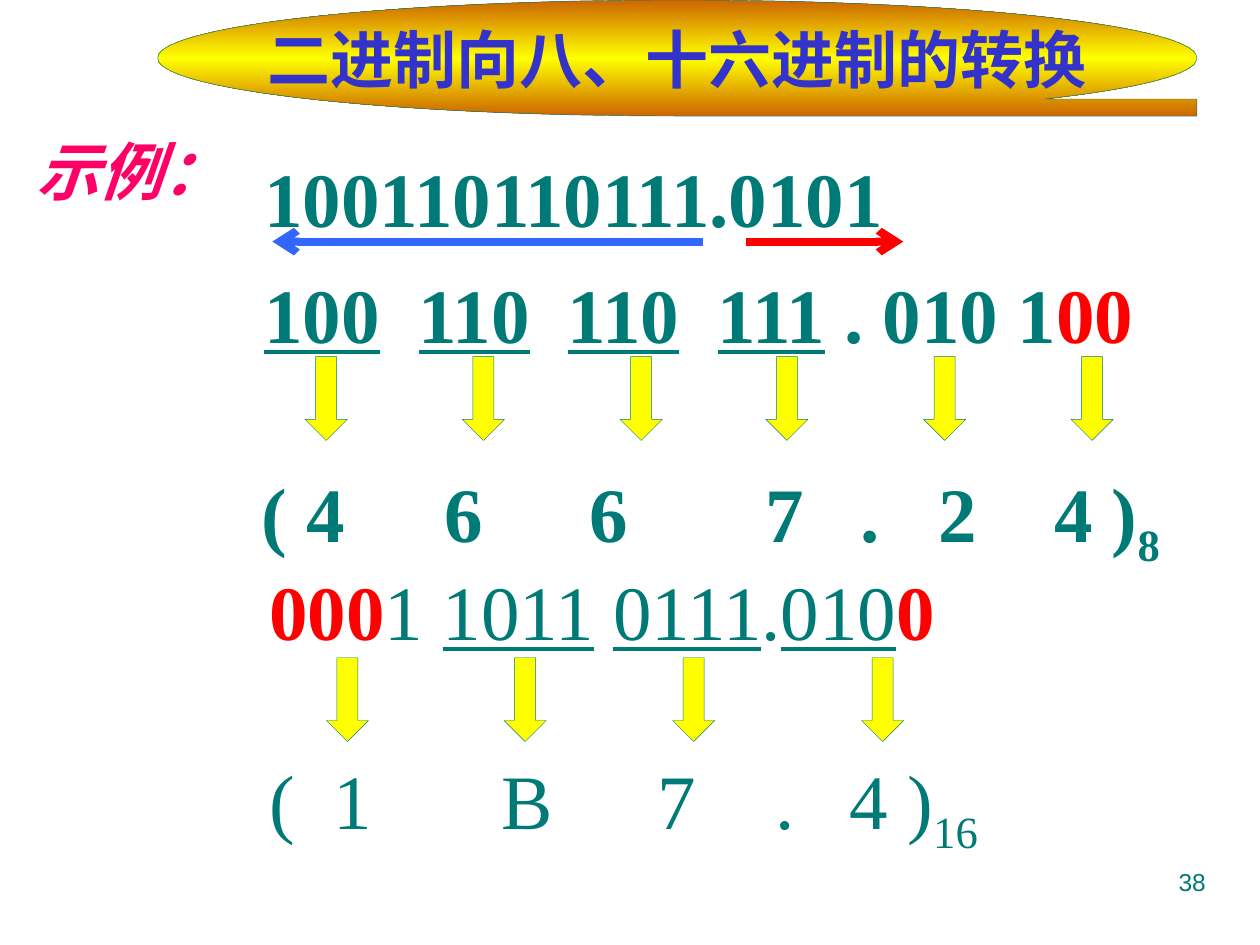
from copy import deepcopy

from lxml.etree import SubElement
from pptx import Presentation
from pptx.dml.color import RGBColor
from pptx.enum.shapes import MSO_CONNECTOR, MSO_SHAPE
from pptx.enum.text import MSO_ANCHOR, PP_ALIGN
from pptx.oxml.ns import qn
from pptx.util import Cm, Pt

TEAL = RGBColor(0x00, 0x7A, 0x77)
RED = RGBColor(0xFF, 0x00, 0x00)
YELLOW = RGBColor(0xFF, 0xFF, 0x00)
ORANGE = RGBColor(0xCC, 0x66, 0x00)
INDIGO = RGBColor(0x33, 0x33, 0xCC)
PINK = RGBColor(0xFF, 0x00, 0x66)
BLUE = RGBColor(0x33, 0x66, 0xFF)

SERIF = "Times New Roman"
CJK = "Noto Sans CJK SC"

UNDERLINED = {"underline": True}
PADDING = {"color": RED, "bold": True}
SUBSCRIPT = {"baseline": "-25000"}


def add_run(paragraph, text, color=None, bold=None, underline=None, baseline=None):
    run = paragraph.add_run()
    run.text = text
    if color is not None:
        run.font.color.rgb = color
    if bold is not None:
        run.font.bold = bold
    if underline:
        run.font.underline = True
    if baseline:
        run.font._element.set("baseline", baseline)


def write(paragraph, runs, tabs=(), size=44, color=TEAL, bold=False,
          italic=False, name=SERIF, align=PP_ALIGN.LEFT):
    paragraph.alignment = align
    if tabs:
        tab_list = SubElement(paragraph._p.get_or_add_pPr(), qn("a:tabLst"))
        for position in tabs:
            SubElement(tab_list, qn("a:tab"), pos=str(Cm(position)), algn="l")
    font = paragraph.font
    font.size, font.name = Pt(size), name
    font.bold, font.italic = bold, italic
    font.color.rgb = color
    SubElement(font._element, qn("a:ea"), typeface=CJK)
    for text, options in runs:
        add_run(paragraph, text, **options)


def add_text_frame(slide, left, top, width, height, anchor=MSO_ANCHOR.TOP, margin_top=0.13):
    box = slide.shapes.add_textbox(Cm(left), Cm(top), Cm(width), Cm(height))
    frame = box.text_frame
    frame.word_wrap = True
    frame.vertical_anchor = anchor
    frame.margin_top = Cm(margin_top)
    return frame


def add_outlined_shape(slide, preset, left, top, width, height):
    shape = slide.shapes.add_shape(preset, Cm(left), Cm(top), Cm(width), Cm(height))
    shape.shadow.inherit = False
    shape.line.color.rgb = TEAL
    shape.line.width = Pt(0.25)
    return shape


def add_title(slide, text):
    place = (3.18, 0, 20.95, 2.34)
    banner = add_outlined_shape(slide, MSO_SHAPE.FLOWCHART_SEQUENTIAL_ACCESS_STORAGE, *place)
    banner.fill.gradient()
    banner.fill.gradient_angle = 90
    stops = banner.fill.gradient_stops
    for stop in stops:
        stop.color.rgb = ORANGE
    first_stop = banner._element.spPr.find(".//" + qn("a:gs"))
    middle_stop = deepcopy(first_stop)
    first_stop.addnext(middle_stop)
    middle = banner.fill.gradient_stops[1]
    middle.position = 0.5
    middle.color.rgb = YELLOW

    title = slide.shapes.title
    title.left, title.top, title.width, title.height = map(Cm, place)
    title.text_frame.vertical_anchor = MSO_ANCHOR.MIDDLE
    write(title.text_frame.paragraphs[0], [(text, {})], size=36, color=INDIGO,
          bold=True, name=CJK, align=PP_ALIGN.CENTER)
    title._element.addprevious(banner._element)


def add_down_arrows(slide, top, lefts):
    for left in lefts:
        arrow = add_outlined_shape(slide, MSO_SHAPE.DOWN_ARROW, left, top, 0.85, 1.69)
        arrow.fill.solid()
        arrow.fill.fore_color.rgb = YELLOW


def add_direction(slide, start, end, color):
    level = Cm(4.87)
    direction = slide.shapes.add_connector(
        MSO_CONNECTOR.STRAIGHT, Cm(start), level, Cm(end), level)
    direction.line.color.rgb = color
    direction.line.width = Pt(4.5)
    SubElement(direction.line._get_or_add_ln(), qn("a:tailEnd"), type="arrow")
    SubElement(direction._element.spPr, qn("a:effectLst"))


def add_octal_example(slide):
    groups = add_text_frame(slide, 5.08, 5.08, 19.48, 2.11, margin_top=0.3)
    write(groups.paragraphs[0], [
        ("100", UNDERLINED), ("\t", {}),
        ("110", UNDERLINED), ("\t", {}),
        ("110", UNDERLINED), ("\t", {}),
        ("111", UNDERLINED), (" . 010 1", {}), ("00", PADDING),
    ], tabs=(3.11, 6.12, 9.14), bold=True)
    add_down_arrows(slide, 7.19, (6.15, 9.32, 12.5, 15.44, 18.62, 21.59))
    result = add_text_frame(slide, 5.03, 9.09, 19.48, 2.13, margin_top=0.3)
    write(result.paragraphs[0], [("( 4\t6\t6\t7\t.\t2\t4 )", {}), ("8", SUBSCRIPT)],
          tabs=(3.69, 6.61, 10.16, 12.07, 13.63, 15.97), bold=True)


def add_hexadecimal_example(slide):
    frame = add_text_frame(slide, 5.18, 11.23, 16.15, 5.84)
    write(frame.paragraphs[0], [
        ("000", PADDING), ("1 ", {}),
        ("1011", UNDERLINED), (" ", {}),
        ("0111", UNDERLINED), (".", {}),
        ("010", UNDERLINED), ("0", PADDING),
    ])
    result = frame.add_paragraph()
    result.space_before = Pt(55)
    write(result, [("(\t1\tB\t7\t.\t4 )", {}), ("16", SUBSCRIPT)],
          tabs=(1.3, 4.68, 7.83, 10.21, 11.7))
    add_down_arrows(slide, 13.26, (6.58, 10.16, 13.56, 17.37))


def main():
    presentation = Presentation()
    presentation.slide_width, presentation.slide_height = Cm(25.4), Cm(19.05)
    slide = presentation.slides.add_slide(presentation.slide_layouts[5])

    add_title(slide, "二进制向八、十六进制的转换")
    example_label = add_text_frame(slide, 0, 2.54, 5.28, 1.78, MSO_ANCHOR.MIDDLE)
    write(example_label.paragraphs[0], [("示例：", {})], size=36, color=PINK,
          bold=True, italic=True, align=PP_ALIGN.CENTER)
    binary_number = add_text_frame(slide, 5.08, 2.74, 15.88, 2.11, margin_top=0.3)
    write(binary_number.paragraphs[0], [("100110110111.0101", {})], bold=True)
    add_direction(slide, 14.17, 5.49, BLUE)
    add_direction(slide, 15.04, 18.21, RED)
    add_octal_example(slide)
    add_hexadecimal_example(slide)
    page_number = add_text_frame(slide, 18.21, 17.35, 6.35, 1.32)
    write(page_number.paragraphs[0], [("38", {})], size=14, name="Arial",
          align=PP_ALIGN.RIGHT)

    presentation.save("out.pptx")


if __name__ == "__main__":
    main()
